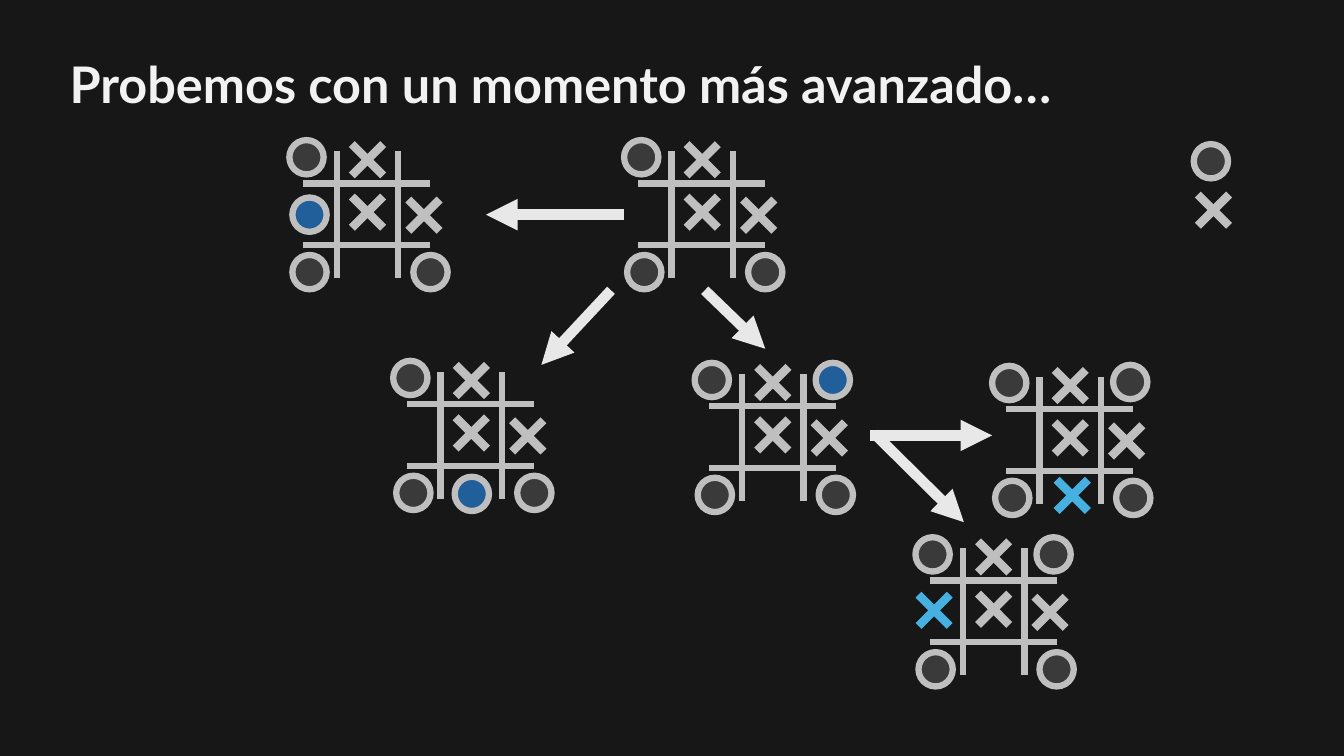
from lxml import etree
from pptx import Presentation
from pptx.dml.color import RGBColor
from pptx.enum.shapes import MSO_CONNECTOR as Connector, MSO_SHAPE as Shape
from pptx.enum.text import MSO_ANCHOR as Anchor, MSO_AUTO_SIZE as AutoSize, PP_ALIGN as Align
from pptx.oxml.ns import qn
from pptx.util import Pt

PX = 9144  # 100 px to the inch

BACKGROUND = RGBColor(0x17, 0x17, 0x17)
TITLE_COLOR = RGBColor(0xF2, 0xF2, 0xF2)
MARK_GRAY = RGBColor(0xBF, 0xBF, 0xBF)
NOUGHT_FILL = RGBColor(0x3A, 0x3A, 0x3A)
NOUGHT_MOVE = RGBColor(0x21, 0x5F, 0x9A)
CROSS_MOVE = RGBColor(0x46, 0xB1, 0xE1)
ARROW_COLOR = RGBColor(0xE8, 0xE8, 0xE8)

NOUGHT_SIZE, CROSS_SIZE = 34, 31
GRID_LENGTH = 126
# Offsets from the top left corner of a board
COLUMN_LINES, COLUMN_TOP = (47, 108), 11
ROW_LINES, ROW_LEFT = (43, 104), 14
NOUGHTS = ((0, 0), (123, 114), (3, 114))
CROSSES = ((62, 4), (62, 56), (118, 59))

# Board corner, added noughts (offset and fill), added crosses (offset)
BOARDS = (
    ((619, 139), (), ()),
    ((287, 139), ((3, 57, NOUGHT_MOVE),), ()),
    ((390, 358), ((61, 115, NOUGHT_MOVE),), ()),
    ((689, 360), ((120, 0, NOUGHT_MOVE),), ()),
    ((908, 533), ((120, 0, NOUGHT_FILL),), ((3, 57),)),
    ((984, 363), ((120, -1, NOUGHT_FILL),), ((64, 113),)),
)
ARROWS = (
    (619, 213, 482, 213),
    (606, 288, 537, 362),
    (699, 288, 759, 346),
    (863, 432, 984, 432),
    (867, 430, 956, 518),
)


def write_text(frame, text, font="Lato", size=36, color=TITLE_COLOR, bold=False, align=Align.LEFT):
    paragraph = frame.paragraphs[0]
    paragraph.alignment = align
    run = paragraph.add_run()
    run.text = text
    run.font.name = font
    run.font.size = Pt(size)
    run.font.bold = bold
    run.font.color.rgb = color


class GameSlide:
    def __init__(self, presentation):
        self.slide = presentation.slides.add_slide(presentation.slide_layouts[5])
        self.shapes = self.slide.shapes
        fill = self.slide.background.fill
        fill.solid()
        fill.fore_color.rgb = BACKGROUND

    def title(self, text, left, top, width, height):
        title = self.shapes.title
        title.left, title.top = left * PX, top * PX
        title.width, title.height = width * PX, height * PX
        frame = title.text_frame
        frame.word_wrap = True
        frame.auto_size = AutoSize.SHAPE_TO_FIT_TEXT
        frame.vertical_anchor = Anchor.TOP
        write_text(frame, text, bold=True)

    def line(self, shapes, x1, y1, x2, y2, color=MARK_GRAY, weight=4.5):
        line = shapes.add_connector(Connector.STRAIGHT, x1 * PX, y1 * PX, x2 * PX, y2 * PX)
        line.line.color.rgb = color
        line.line.width = Pt(weight)
        etree.SubElement(line._element.spPr, qn("a:effectLst"))
        return line

    def arrow(self, x1, y1, x2, y2):
        arrow = self.line(self.shapes, x1, y1, x2, y2, ARROW_COLOR, 7.5)
        etree.SubElement(arrow.line._get_or_add_ln(), qn("a:tailEnd"), type="triangle")

    def nought(self, shapes, left, top, color=NOUGHT_FILL):
        nought = shapes.add_shape(Shape.OVAL, left * PX, top * PX, NOUGHT_SIZE * PX, NOUGHT_SIZE * PX)
        nought.shadow.inherit = False
        nought.fill.solid()
        nought.fill.fore_color.rgb = color
        nought.line.color.rgb = MARK_GRAY
        nought.line.width = Pt(4.5)

    def cross(self, shapes, left, top, color=MARK_GRAY):
        right, bottom = left + CROSS_SIZE, top + CROSS_SIZE
        self.line(shapes, left, top, right, bottom, color, 6)
        self.line(shapes, right, top, left, bottom, color, 6)

    def board(self, left, top):
        """Draw the grid with the six marks that every position shares."""
        shapes = self.shapes.add_group_shape().shapes
        for offset in COLUMN_LINES:
            x, y = left + offset, top + COLUMN_TOP
            self.line(shapes, x, y, x, y + GRID_LENGTH)
        for offset in ROW_LINES:
            x, y = left + ROW_LEFT, top + offset
            self.line(shapes, x, y, x + GRID_LENGTH, y)
        for dx, dy in NOUGHTS:
            self.nought(shapes, left + dx, top + dy)
        for dx, dy in CROSSES:
            self.cross(shapes, left + dx, top + dy)


def main():
    presentation = Presentation()
    presentation.slide_width, presentation.slide_height = 1333 * PX, 750 * PX
    game = GameSlide(presentation)
    game.title("Probemos con un momento más avanzado…", 59, 48, 1093, 71)

    # Key of the two players
    game.cross(game.shapes.add_group_shape().shapes, 1188, 193)
    game.nought(game.shapes, 1184, 143)

    for (left, top), noughts, crosses in BOARDS:
        game.board(left, top)
        for dx, dy, color in noughts:
            game.nought(game.shapes, left + dx, top + dy, color)
        for dx, dy in crosses:
            group = game.shapes.add_group_shape()
            game.cross(group.shapes, left + dx, top + dy, CROSS_MOVE)

    for arrow in ARROWS:
        game.arrow(*arrow)
    presentation.save("out.pptx")


if __name__ == "__main__":
    main()
